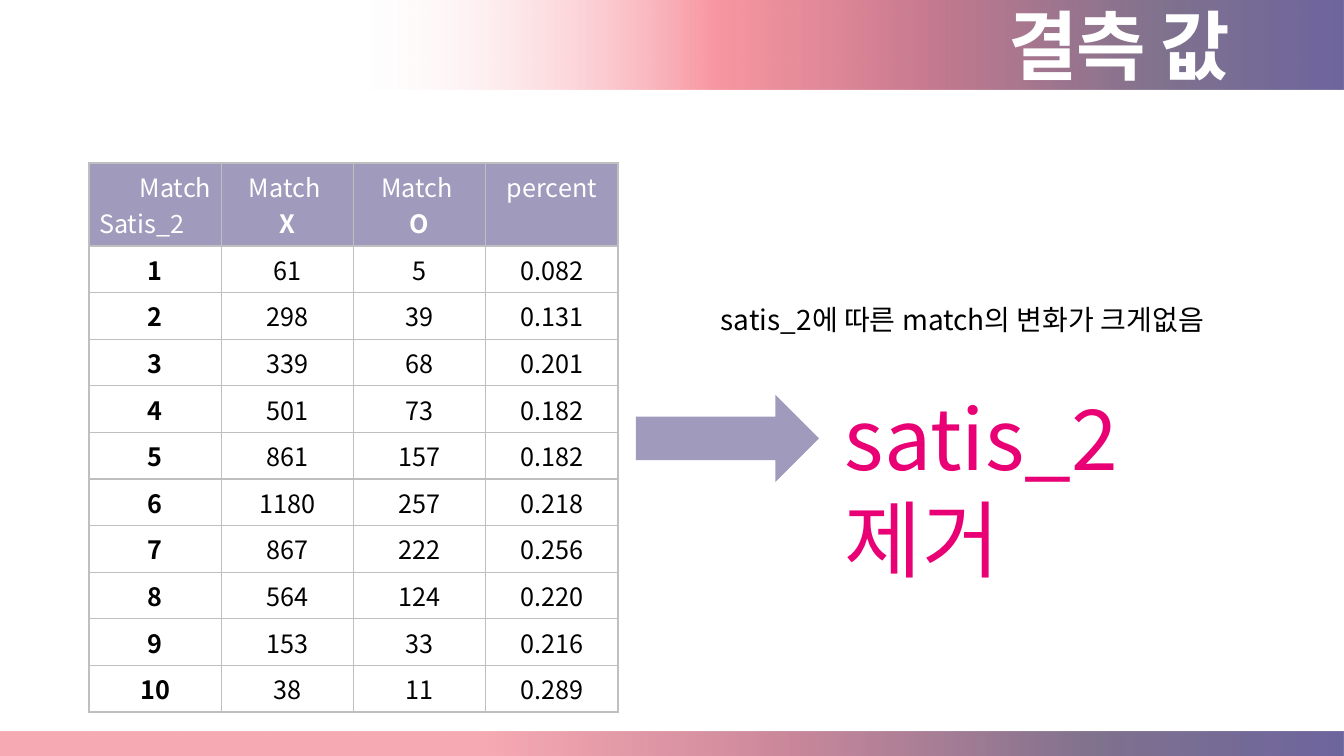
from dataclasses import dataclass

from lxml.etree import SubElement as Sub
from pptx import Presentation
from pptx.dml.color import RGBColor
from pptx.enum.shapes import MSO_SHAPE as Kind
from pptx.enum.text import MSO_ANCHOR as Anchor, MSO_AUTO_SIZE as Fit, PP_ALIGN as Align
from pptx.oxml.ns import qn
from pptx.util import Emu, Pt

FONT = "Noto Sans CJK KR"
LILAC = "A09ABC"
GREY = "BFBFBF"


@dataclass
class Box:
    x: int
    y: int
    w: int
    h: int

    def emu(self) -> list[Emu]:
        return [px(n) for n in (self.x, self.y, self.w, self.h)]


@dataclass
class Stop:
    pos: int
    hue: str
    alpha: int


@dataclass
class Label:
    box: Box
    text: str
    size: int
    hue: str


def px(n: int) -> Emu:
    return Emu(round(n * 914400 / 100.8))


def rgb(hue: str) -> RGBColor:
    return RGBColor.from_string(hue)


def style(para, size: int, hue: str, bold: bool = False) -> None:
    font = para.font
    font.name, font.size, font.bold = FONT, Pt(size), bold
    font.color.rgb = rgb(hue)
    Sub(font._element, qn("a:ea"), typeface=FONT)


def shape(kind: Kind, box: Box):
    new = slide.shapes.add_shape(kind, *box.emu())
    new.shadow.inherit = False
    new.line.fill.background()
    return new


def bar(box: Box, stops: list[Stop]) -> None:
    fill = shape(Kind.RECTANGLE, box).fill
    fill.gradient()
    fill.gradient_angle = 180
    grad = fill._xPr.find(qn("a:gradFill")).find(qn("a:gsLst"))
    grad.clear()
    for stop in stops:
        mark = Sub(grad, qn("a:gs"), pos=str(stop.pos * 1000))
        tint = Sub(mark, qn("a:srgbClr"), val=stop.hue)
        Sub(tint, qn("a:alpha"), val=str(stop.alpha * 1000))


def label(item: Label) -> None:
    frame = slide.shapes.add_textbox(*item.box.emu()).text_frame
    frame.word_wrap = True
    para = frame.paragraphs[0]
    para.text = item.text
    style(para, item.size, item.hue)


def edge(cell) -> None:
    props = cell._tc.get_or_add_tcPr()
    for side in ("lnL", "lnR", "lnT", "lnB"):
        line = Sub(props, qn(f"a:{side}"), w=str(Pt(1)))
        Sub(Sub(line, qn("a:solidFill")), qn("a:srgbClr"), val=GREY)


def grid(box: Box, rows: list[list[str]], head: int) -> None:
    table = slide.shapes.add_table(len(rows), len(rows[0]), *box.emu()).table
    table.first_row = table.horz_banding = False
    for r, row in enumerate(rows):
        table.rows[r].height = px(40 if r else head)
        for c, text in enumerate(row):
            cell = table.cell(r, c)
            edge(cell)
            if r:
                cell.fill.background()
            else:
                cell.fill.solid()
                cell.fill.fore_color.rgb = rgb(LILAC)
            cell.text = text
            for n, para in enumerate(cell.text_frame.paragraphs):
                para.alignment = Align.CENTER
                bold = c == 0 if r else n == 1 and c > 0
                style(para, 18, "000000" if r else "FFFFFF", bold)
    # The corner cell names both axes
    name, axis = table.cell(0, 0).text_frame.paragraphs
    name.alignment, axis.alignment = Align.RIGHT, Align.LEFT


deck = Presentation()
deck.slide_width, deck.slide_height = px(1344), px(756)
slide = deck.slides.add_slide(deck.slide_layouts[5])

# Bands at top and bottom
DARK = [Stop(0, "5C5393", 89), Stop(19, "6C5B7B", 85)]
bar(Box(360, 0, 984, 90),
    DARK + [Stop(42, "C06C84", 90), Stop(64, "F67280", 73), Stop(100, "FFFFFF", 8)])
bar(Box(0, 732, 1344, 28), DARK + [Stop(42, "C06C84", 80), Stop(64, "F5919C", 77)])

# Match counts by score
HEAD = ["Match\nSatis_2", "Match \nX", "Match \nO", "percent"]
COUNTS = [
    ("61", "5", "0.082"), ("298", "39", "0.131"), ("339", "68", "0.201"),
    ("501", "73", "0.182"), ("861", "157", "0.182"), ("1180", "257", "0.218"),
    ("867", "222", "0.256"), ("564", "124", "0.220"), ("153", "33", "0.216"),
    ("38", "11", "0.289"),
]
rows = [HEAD] + [[str(n), *row] for n, row in enumerate(COUNTS, 1)]
grid(Box(89, 163, 529, 472), rows, 72)

# Arrow and findings
arrow = shape(Kind.RIGHT_ARROW, Box(636, 395, 183, 87))
arrow.fill.solid()
arrow.fill.fore_color.rgb = rgb(LILAC)
for item in (
    Label(Box(711, 298, 516, 44), "satis_2에 따른 match의 변화가 크게없음", 20, "000000"),
    Label(Box(835, 382, 448, 112), "satis_2 제거", 60, "E80074"),
):
    label(item)

# Title, in front of the top band
title = slide.shapes.title
title.left, title.top, title.width, title.height = Box(998, -6, 346, 102).emu()
slide.shapes._spTree.append(title._element)
frame = title.text_frame
frame.text = "결측 값"
frame.word_wrap, frame.auto_size = True, Fit.NONE
frame.vertical_anchor = Anchor.TOP
para = frame.paragraphs[0]
para.alignment = Align.LEFT
style(para, 54, "FFFFFF", True)
para.runs[0]._r.get_or_add_rPr().set("spc", "-100")

deck.save("out.pptx")
